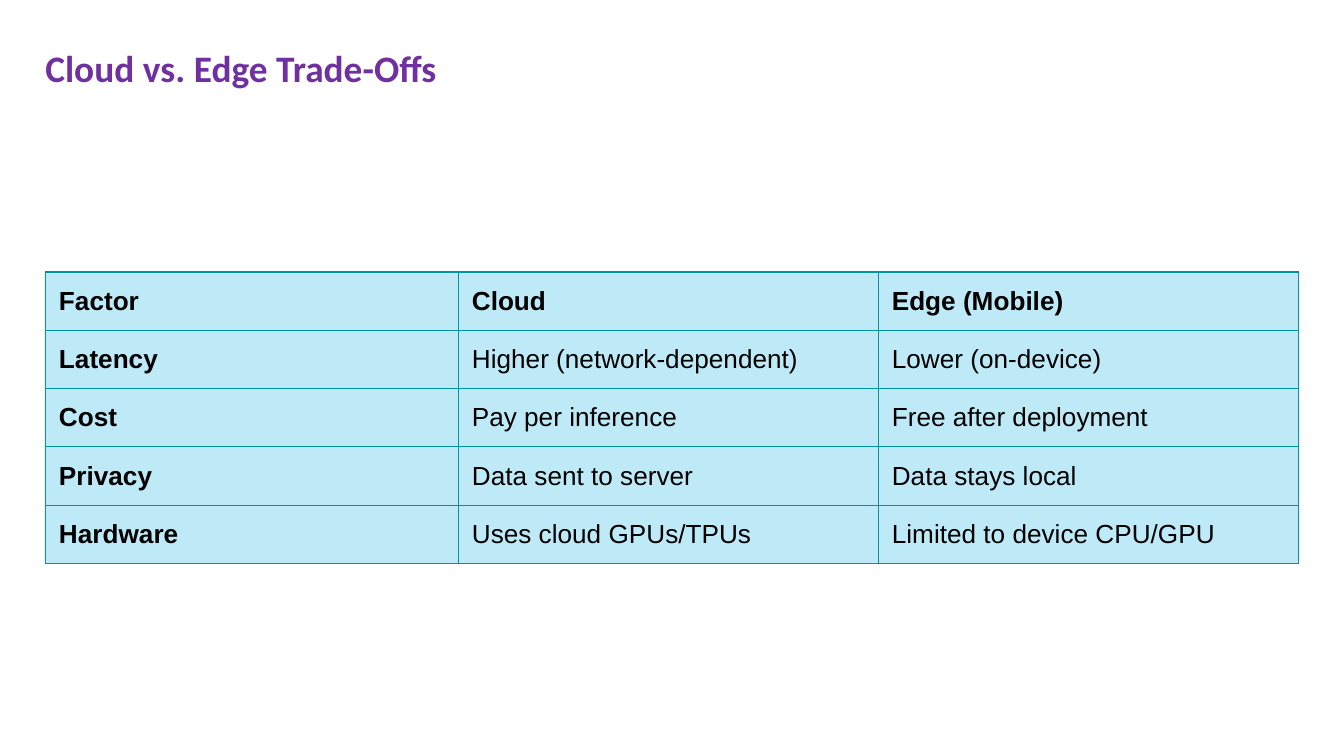
from dataclasses import dataclass

from lxml import etree
from pptx import Presentation
from pptx.dml.color import RGBColor
from pptx.enum.text import MSO_ANCHOR
from pptx.oxml.ns import qn
from pptx.util import Pt

MIDDLE = MSO_ANCHOR.MIDDLE
TOP = MSO_ANCHOR.TOP


@dataclass(frozen=True)
class Theme:
    title_color: str = "7030A0"
    text_color: str = "000000"
    cell_fill: str = "BEEAF7"
    border_color: str = "0094A3"
    title_font: str = "Calibri"
    body_font: str = "Arial"
    title_size: float = 20
    body_size: float = 14
    border_width: float = 0.75
    inset: float = 7.2


THEME = Theme()

TRADE_OFFS = [
    ("Factor", "Cloud", "Edge (Mobile)"),
    ("Latency", "Higher (network-dependent)", "Lower (on-device)"),
    ("Cost", "Pay per inference", "Free after deployment"),
    ("Privacy", "Data sent to server", "Data stays local"),
    ("Hardware", "Uses cloud GPUs/TPUs", "Limited to device CPU/GPU"),
]


def write_text(frame, text, *, font=THEME.body_font, size=THEME.body_size,
               color=THEME.text_color, bold=False, anchor=MIDDLE):
    """Fill a text frame with one formatted paragraph."""
    frame.word_wrap = True
    frame.vertical_anchor = anchor
    frame.margin_left = frame.margin_right = Pt(THEME.inset)
    frame.margin_top = frame.margin_bottom = Pt(THEME.inset)
    span = frame.paragraphs[0].add_run()
    span.text = text
    span.font.name = font
    span.font.size = Pt(size)
    span.font.bold = bold
    span.font.color.rgb = RGBColor.from_string(color)


def set_borders(cell):
    """Draw the same thin line on all four sides of a cell."""
    properties = cell._tc.get_or_add_tcPr()
    for index, side in enumerate(("a:lnL", "a:lnR", "a:lnT", "a:lnB")):
        line = etree.Element(qn(side), w=str(Pt(THEME.border_width)))
        fill = etree.SubElement(line, qn("a:solidFill"))
        etree.SubElement(fill, qn("a:srgbClr"), val=THEME.border_color)
        properties.insert(index, line)


def add_title(page, text, left, top, width, height):
    box = page.shapes.add_textbox(Pt(left), Pt(top), Pt(width), Pt(height))
    write_text(box.text_frame, text, font=THEME.title_font, size=THEME.title_size,
               color=THEME.title_color, bold=True, anchor=TOP)


def add_comparison(page, rows, left, top, width, height, factor_width):
    """Place the table: a factor column, then equal option columns."""
    columns = len(rows[0])
    table = page.shapes.add_table(len(rows), columns, Pt(left), Pt(top),
                                  Pt(width), Pt(height)).table
    option_width = (width - factor_width) / (columns - 1)
    for index, column in enumerate(table.columns):
        column.width = Pt(option_width if index else factor_width)

    for row_index, row in enumerate(rows):
        table.rows[row_index].height = Pt(height / len(rows))
        for column_index, text in enumerate(row):
            cell = table.cell(row_index, column_index)
            is_heading = row_index == 0 or column_index == 0
            write_text(cell.text_frame, text, bold=is_heading)
            # Cells keep their own margins and anchor
            cell.vertical_anchor = MIDDLE
            cell.margin_left = cell.margin_right = Pt(THEME.inset)
            cell.margin_top = cell.margin_bottom = Pt(THEME.inset)
            cell.fill.solid()
            cell.fill.fore_color.rgb = RGBColor.from_string(THEME.cell_fill)
            set_borders(cell)


def main():
    deck = Presentation()
    deck.slide_width, deck.slide_height = Pt(720), Pt(405)
    page = deck.slides.add_slide(deck.slide_layouts[6])

    # Title
    add_title(page, "Cloud vs. Edge Trade-Offs", 17.2, 16.8, 678, 49.5)

    # Comparison table
    add_comparison(page, TRADE_OFFS, 24.4, 145.7, 671.2, 153.5, factor_width=221.2)

    deck.save("out.pptx")


if __name__ == "__main__":
    main()
